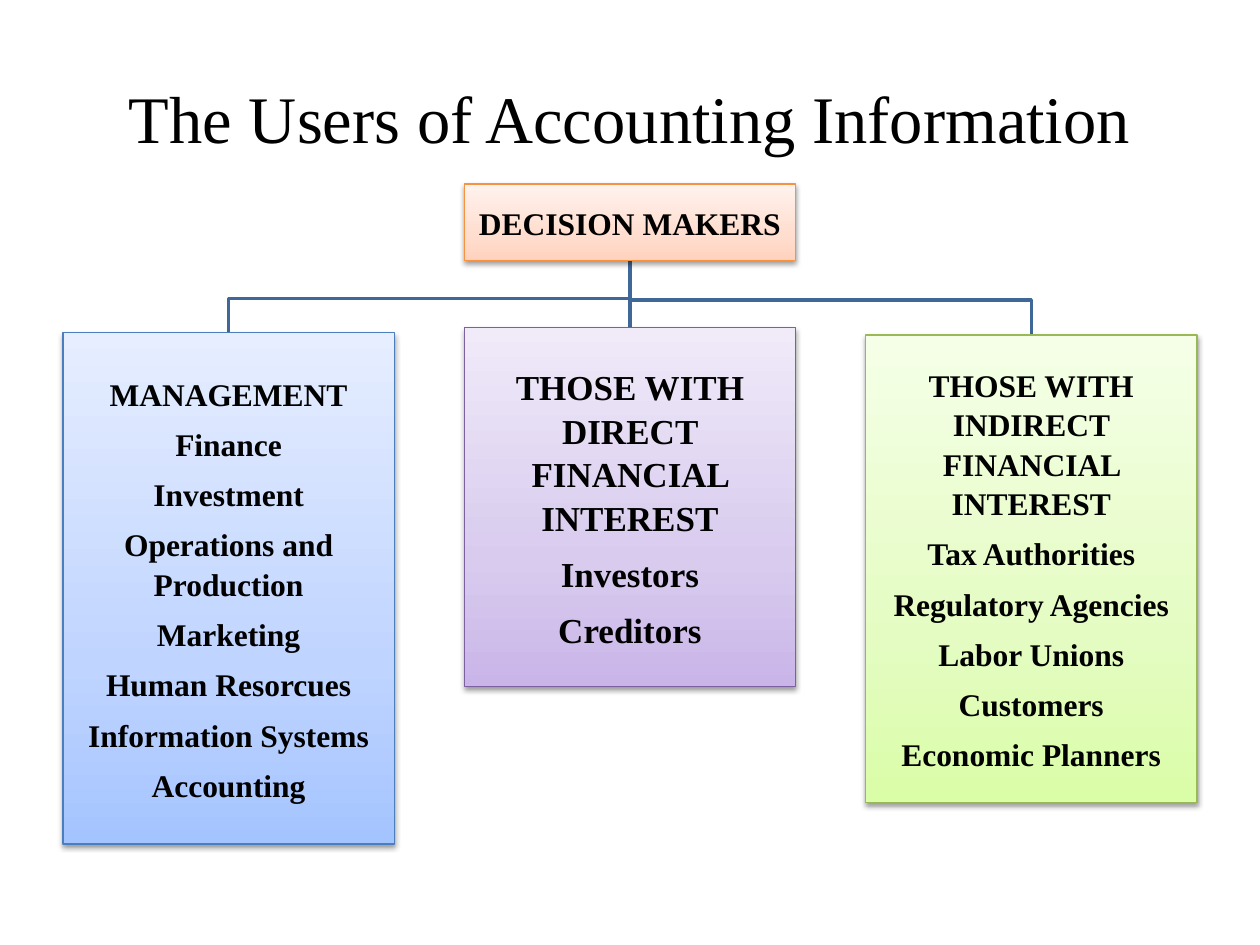
from dataclasses import dataclass

from lxml import etree
from pptx import Presentation
from pptx.dml.color import RGBColor
from pptx.enum.shapes import MSO_CONNECTOR, MSO_SHAPE
from pptx.enum.text import MSO_ANCHOR, PP_ALIGN
from pptx.oxml.ns import qn
from pptx.util import Inches, Pt

RECTANGLE = MSO_SHAPE.RECTANGLE
STRAIGHT = MSO_CONNECTOR.STRAIGHT
MIDDLE = MSO_ANCHOR.MIDDLE
CENTER = PP_ALIGN.CENTER
TOP_SIDE, BOTTOM_SIDE = 0, 2

FONT = "Times New Roman"
COLORS = {"text": "000000", "link": "3F6797", "shadow": "000000"}
# Outline, then gradient from bottom to top
PALETTES = {
    "orange": ("F69240", ("FFD2BD", "FFDED0", "FFF2ED")),
    "blue": ("4B7EBC", ("A4C4FF", "BFD4FF", "E6EEFF")),
    "purple": ("7D60A0", ("C9B5E8", "D8CBEE", "F0EAF9")),
    "green": ("98B955", ("DAFDA7", "E4FCC2", "F5FFE7")),
}
GRADIENT_STOPS = (0, 35, 100)
BOX_WIDTH = 2.63
COLUMN_STEP = 3.185
LEFT_MARGIN = 0.5


@dataclass
class Box:
    column: int
    top: float
    height: float
    palette: str
    lines: tuple[str, ...]
    size: int = 18

    @property
    def left(self) -> float:
        return LEFT_MARGIN + self.column * COLUMN_STEP

    @property
    def center(self) -> float:
        return self.left + BOX_WIDTH / 2

    @property
    def bottom(self) -> float:
        return self.top + self.height


DECISION_MAKERS = Box(1, 1.46, 0.61, "orange", ("DECISION MAKERS",))
MANAGEMENT = Box(0, 2.64, 4.06, "blue", (
    "MANAGEMENT", "Finance", "Investment", "Operations and Production",
    "Marketing", "Human Resorcues", "Information Systems", "Accounting"))
DIRECT_INTEREST = Box(1, 2.6, 2.85, "purple", (
    "THOSE WITH DIRECT FINANCIAL INTEREST", "Investors", "Creditors"), 20)
INDIRECT_INTEREST = Box(2, 2.66, 3.71, "green", (
    "THOSE WITH INDIRECT FINANCIAL INTEREST", "Tax Authorities",
    "Regulatory Agencies", "Labor Unions", "Customers", "Economic Planners"))


def rgb(name: str) -> RGBColor:
    return RGBColor.from_string(COLORS[name])


def write_lines(frame, lines: tuple[str, ...], *, size: int, bold=False,
                space_after=0.0, line_spacing=1.0, margin=0.05) -> None:
    frame.word_wrap = True
    frame.vertical_anchor = MIDDLE
    frame.margin_left = frame.margin_right = Inches(margin)
    frame.margin_top = frame.margin_bottom = Inches(margin)
    for index, line in enumerate(lines):
        paragraph = frame.add_paragraph() if index else frame.paragraphs[0]
        paragraph.alignment = CENTER
        paragraph.space_after = Pt(space_after)
        paragraph.line_spacing = line_spacing
        run = paragraph.add_run()
        run.text = line
        run.font.name = FONT
        run.font.size = Pt(size)
        run.font.bold = bold
        run.font.color.rgb = rgb("text")


def add_color(parent, color: str):
    return etree.SubElement(parent, qn("a:srgbClr"), val=color)


def fill_gradient(shape, colors: tuple[str, ...]) -> None:
    shape.fill.gradient()
    shape.fill.gradient_angle = 90
    stops = shape._element.spPr.find(".//" + qn("a:gsLst"))
    for stop in list(stops):
        stops.remove(stop)
    for position, color in zip(GRADIENT_STOPS, colors):
        add_color(etree.SubElement(stops, qn("a:gs"), pos=str(position * 1000)), color)


def drop_shadow(shape) -> None:
    shape.shadow.inherit = False
    effects = shape._element.spPr.find(qn("a:effectLst"))
    shadow = etree.SubElement(effects, qn("a:outerShdw"), blurRad="40000",
                              dist="20000", dir="5400000", rotWithShape="0")
    etree.SubElement(add_color(shadow, COLORS["shadow"]), qn("a:alpha"), val="38000")


def draw_box(slide, box: Box):
    shape = slide.shapes.add_shape(RECTANGLE, Inches(box.left), Inches(box.top),
                                   Inches(BOX_WIDTH), Inches(box.height))
    outline, gradient = PALETTES[box.palette]
    fill_gradient(shape, gradient)
    shape.line.color.rgb = RGBColor.from_string(outline)
    shape.line.width = Pt(0.75)
    drop_shadow(shape)
    write_lines(shape.text_frame, box.lines, size=box.size, bold=True,
                space_after=0.35 * box.size, line_spacing=1.04, margin=0.01)
    return shape


def style_link(line) -> None:
    line.color.rgb = rgb("link")
    line.width = Pt(2)


def draw_elbow(slide, parent: Box, child: Box, bend: float) -> None:
    points = [(Inches(x), Inches(y)) for x, y in (
        (parent.center, parent.bottom), (parent.center, bend),
        (child.center, bend), (child.center, child.top))]
    builder = slide.shapes.build_freeform(*points[0])
    builder.add_line_segments(points[1:], close=False)
    elbow = builder.convert_to_shape()
    elbow.fill.background()
    elbow.shadow.inherit = False
    style_link(elbow.line)


def main() -> None:
    presentation = Presentation()
    presentation.slide_width, presentation.slide_height = Inches(10), Inches(7.5)
    slide = presentation.slides.add_slide(presentation.slide_layouts[5])

    # Title
    title = slide.shapes.title
    title.left, title.top = Inches(0.5), Inches(0.3)
    title.width, title.height = Inches(9), Inches(1.25)
    write_lines(title.text_frame, ("The Users of Accounting Information",), size=38)

    # Links behind the boxes
    draw_elbow(slide, DECISION_MAKERS, MANAGEMENT, 2.37)
    stem = slide.shapes.add_connector(
        STRAIGHT, Inches(DECISION_MAKERS.center), Inches(DECISION_MAKERS.bottom),
        Inches(DIRECT_INTEREST.center), Inches(DIRECT_INTEREST.top))
    style_link(stem.line)
    etree.SubElement(stem._element.spPr, qn("a:effectLst"))
    draw_elbow(slide, DECISION_MAKERS, INDIRECT_INTEREST, 2.38)

    # Decision makers and the three groups of users
    root = draw_box(slide, DECISION_MAKERS)
    draw_box(slide, MANAGEMENT)
    direct = draw_box(slide, DIRECT_INTEREST)
    draw_box(slide, INDIRECT_INTEREST)
    stem.begin_connect(root, BOTTOM_SIDE)
    stem.end_connect(direct, TOP_SIDE)

    presentation.save("out.pptx")


if __name__ == "__main__":
    main()
